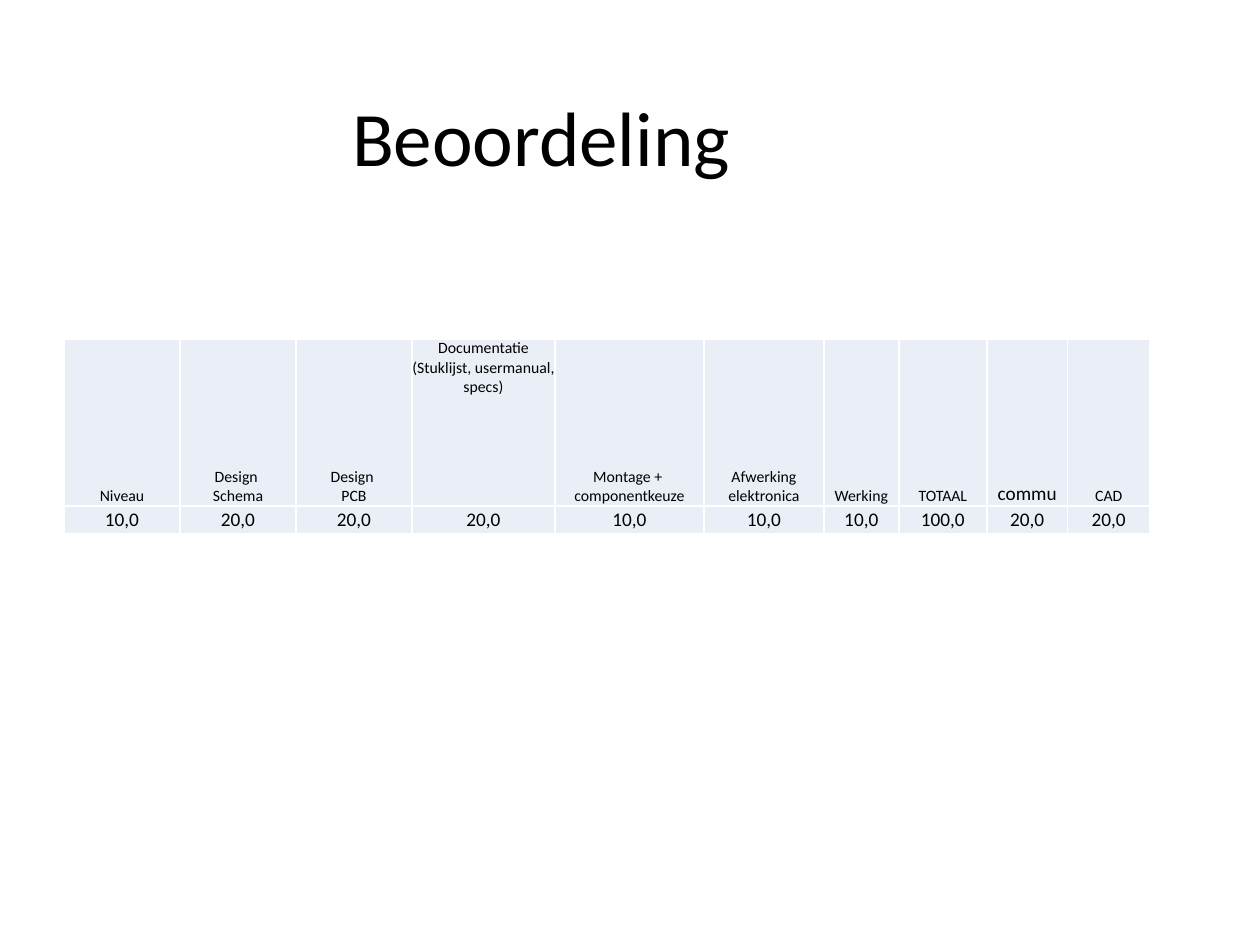
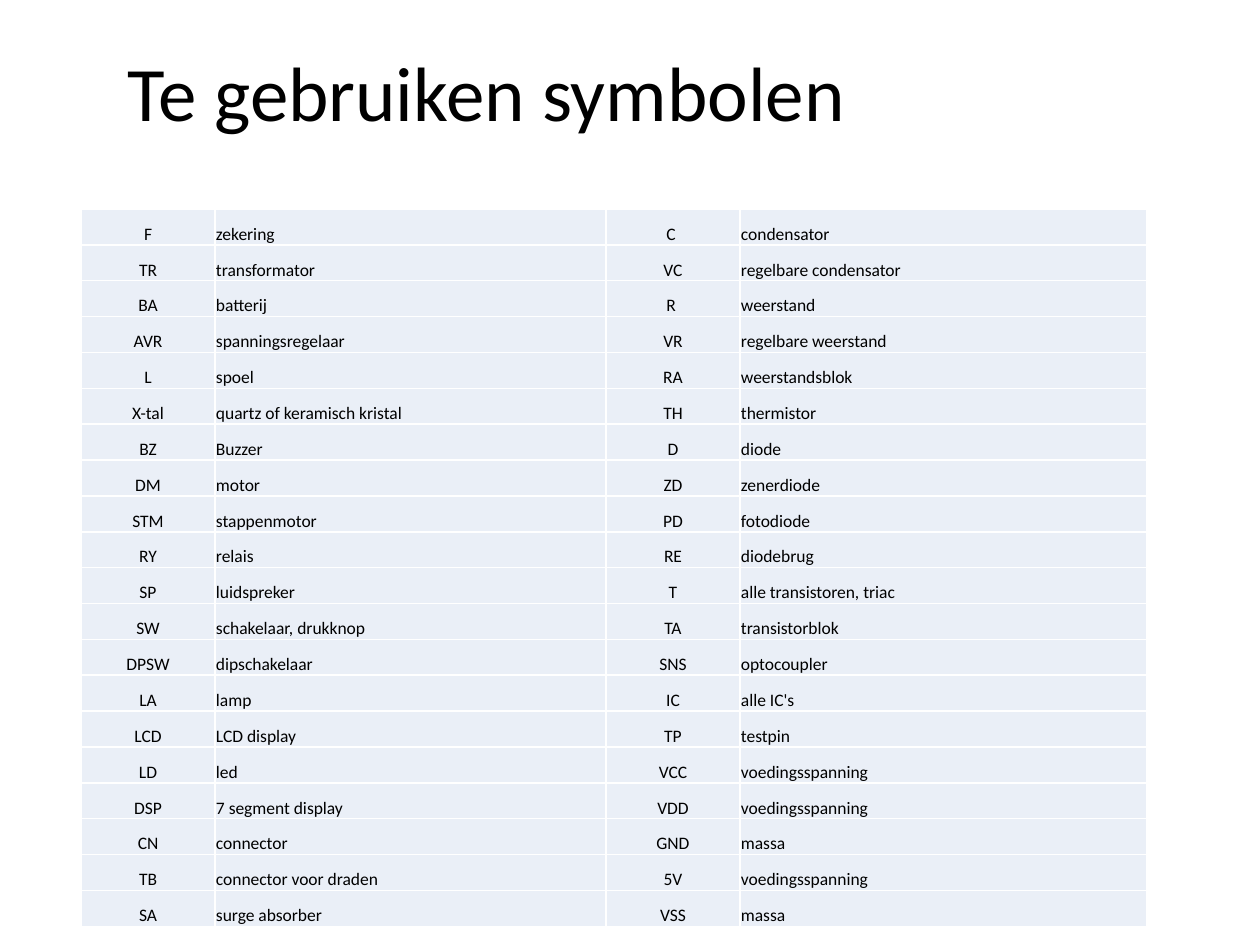
from dataclasses import dataclass
from lxml.etree import SubElement
from pptx import Presentation
from pptx.dml.color import RGBColor
from pptx.enum.text import MSO_ANCHOR, MSO_AUTO_SIZE, PP_ALIGN
from pptx.oxml.ns import qn
from pptx.util import Emu, Pt


@dataclass(frozen=True)
class Theme:
    font: str = "Calibri"
    ink: str = "000000"
    cell: str = "EAEFF7"
    border: str = "FFFFFF"
    border_width: int = Pt(1)
    title: int = 44
    criterion: int = 9
    score: int = 11
    symbol: int = 10


THEME = Theme()
EMU_PER_PX = 914400 / 126
TITLE_INSET = 13

GRADING_TITLE = "Beoordeling"
GRADING = [
    ("Niveau", "10,0", 116),
    ("Design \nSchema", "20,0", 116),
    ("Design \nPCB", "20,0", 116),
    ("Documentatie (Stuklijst, usermanual, specs)", "20,0", 143),
    ("Montage + \ncomponentkeuze", "10,0", 149),
    ("Afwerking elektronica", "10,0", 120),
    ("Werking", "10,0", 75),
    ("TOTAAL", "100,0", 88),
    ("commu", "20,0", 81),
    ("CAD", "20,0", 82),
]
TOP_CRITERION = "Documentatie"
LARGE_CRITERION = "commu"

SYMBOLS_TITLE = "Te gebruiken symbolen"
SYMBOLS = [
    ("F", "zekering", "C ", "condensator"),
    ("TR", "transformator", "VC", "regelbare condensator"),
    ("BA", "batterij", "R ", "weerstand"),
    ("AVR", "spanningsregelaar", "VR", "regelbare weerstand"),
    ("L", "spoel", "RA", "weerstandsblok"),
    ("X-tal", "quartz of keramisch kristal", "TH", "thermistor"),
    ("BZ", "Buzzer", "D", "diode"),
    ("DM", "motor", "ZD", "zenerdiode"),
    ("STM", "stappenmotor", "PD", "fotodiode"),
    ("RY", "relais", "RE", "diodebrug"),
    ("SP", "luidspreker", "T", "alle transistoren, triac"),
    ("SW", "schakelaar, drukknop", "TA", "transistorblok"),
    ("DPSW", "dipschakelaar", "SNS", "optocoupler"),
    ("LA", "lamp", "IC", "alle IC's"),
    ("LCD", "LCD display", "TP", "testpin"),
    ("LD", "led", "VCC", "voedingsspanning"),
    ("DSP", "7 segment display", "VDD", "voedingsspanning"),
    ("CN", "connector", "GND", "massa"),
    ("TB", "connector voor draden", "5V", "voedingsspanning"),
    ("SA", "surge absorber", "VSS", "massa"),
]
SYMBOL_WIDTHS = [134, 391, 134, 407]
SYMBOLS_HEIGHT = 718


def px(length):
    return Emu(round(length * EMU_PER_PX))


def write(paragraph, text, size, align):
    paragraph.alignment = align
    for number, line in enumerate(text.split("\n")):
        if number:
            paragraph.add_line_break()
        run = paragraph.add_run()
        run.text = line
        run.font.name = THEME.font
        run.font.size = Pt(size)
        run.font.bold = False
        run.font.color.rgb = RGBColor.from_string(THEME.ink)


def add_titled_slide(deck, text, box, indent=0):
    slide = deck.slides.add_slide(deck.slide_layouts[5])
    title = slide.shapes.title
    title.left, title.top, title.width, title.height = map(px, box)
    frame = title.text_frame
    frame.auto_size = MSO_AUTO_SIZE.NONE
    frame.vertical_anchor = MSO_ANCHOR.MIDDLE
    frame.margin_left = px(TITLE_INSET + indent)
    frame.paragraphs[0].line_spacing = 0.9
    write(frame.paragraphs[0], text, THEME.title, PP_ALIGN.LEFT)
    return slide


def outline(cell):
    properties = cell._tc.get_or_add_tcPr()
    for side in ("lnL", "lnR", "lnT", "lnB"):
        edge = SubElement(properties, qn(f"a:{side}"), w=str(THEME.border_width))
        paint = SubElement(edge, qn("a:solidFill"))
        SubElement(paint, qn("a:srgbClr"), val=THEME.border)


def add_grid(slide, left, top, widths, heights, rows, inset):
    table = slide.shapes.add_table(
        len(rows), len(widths), px(left), px(top), px(sum(widths)), px(sum(heights))
    ).table
    table.first_row = table.horz_banding = False
    for column, width in zip(table.columns, widths):
        column.width = px(width)
    for row, height in zip(table.rows, heights):
        row.height = px(height)
    for y, row in enumerate(rows):
        for x, (text, size, anchor, align) in enumerate(row):
            cell = table.cell(y, x)
            cell.margin_left = cell.margin_right = cell.margin_top = px(inset)
            cell.margin_bottom = 0
            cell.vertical_anchor = anchor
            outline(cell)
            cell.fill.solid()
            cell.fill.fore_color.rgb = RGBColor.from_string(THEME.cell)
            write(cell.text_frame.paragraphs[0], text, size, align)


def criterion_cell(text):
    size = THEME.score if text == LARGE_CRITERION else THEME.criterion
    on_top = text.startswith(TOP_CRITERION)
    anchor = MSO_ANCHOR.TOP if on_top else MSO_ANCHOR.BOTTOM
    return text, size, anchor, PP_ALIGN.CENTER


def score_cell(text):
    return text, THEME.score, MSO_ANCHOR.MIDDLE, PP_ALIGN.CENTER


def symbol_cell(column, text):
    align = PP_ALIGN.LEFT if column % 2 else PP_ALIGN.CENTER
    return text, THEME.symbol, MSO_ANCHOR.BOTTOM, align


def add_grading(deck):
    slide = add_titled_slide(deck, GRADING_TITLE, (87, 50, 1086, 183), indent=252)
    criteria, scores, widths = zip(*GRADING)
    rows = [[criterion_cell(c) for c in criteria], [score_cell(s) for s in scores]]
    add_grid(slide, 64, 339, widths, [167, 28], rows, inset=0)


def add_symbols(deck):
    slide = add_titled_slide(deck, SYMBOLS_TITLE, (115, 48, 1024, 97))
    rows = [[symbol_cell(x, text) for x, text in enumerate(row)] for row in SYMBOLS]
    heights = [SYMBOLS_HEIGHT / len(rows)] * len(rows)
    add_grid(slide, 81, 209, SYMBOL_WIDTHS, heights, rows, inset=1)


def main():
    deck = Presentation()
    deck.slide_width, deck.slide_height = px(1260), px(945)
    add_grading(deck)
    add_symbols(deck)
    deck.save("out.pptx")


if __name__ == "__main__":
    main()
